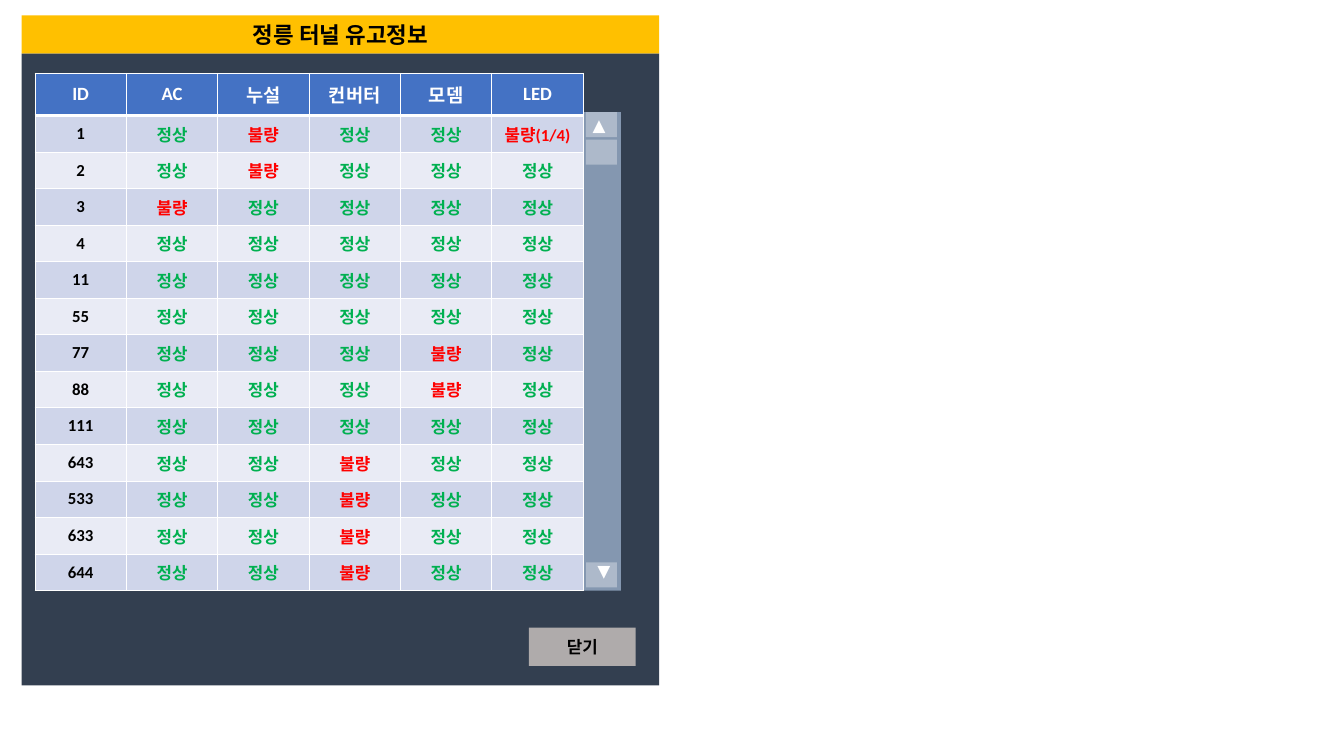
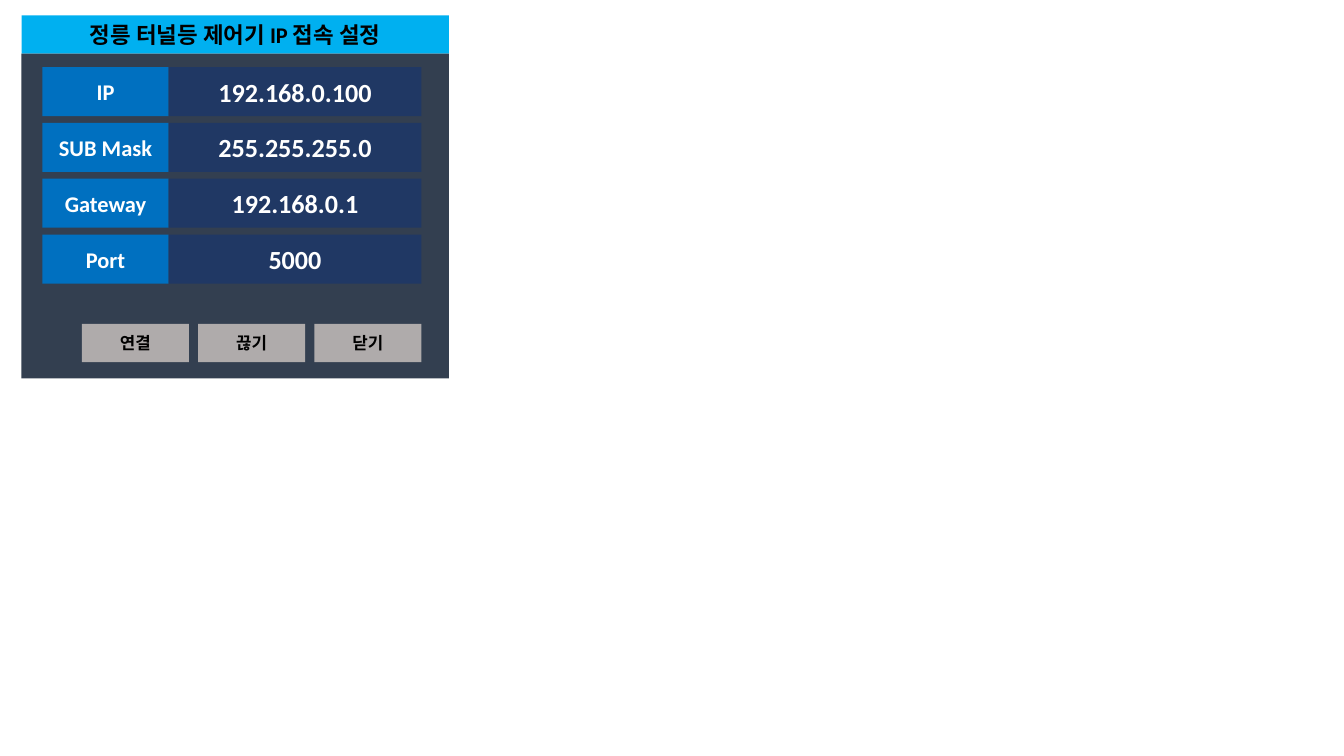
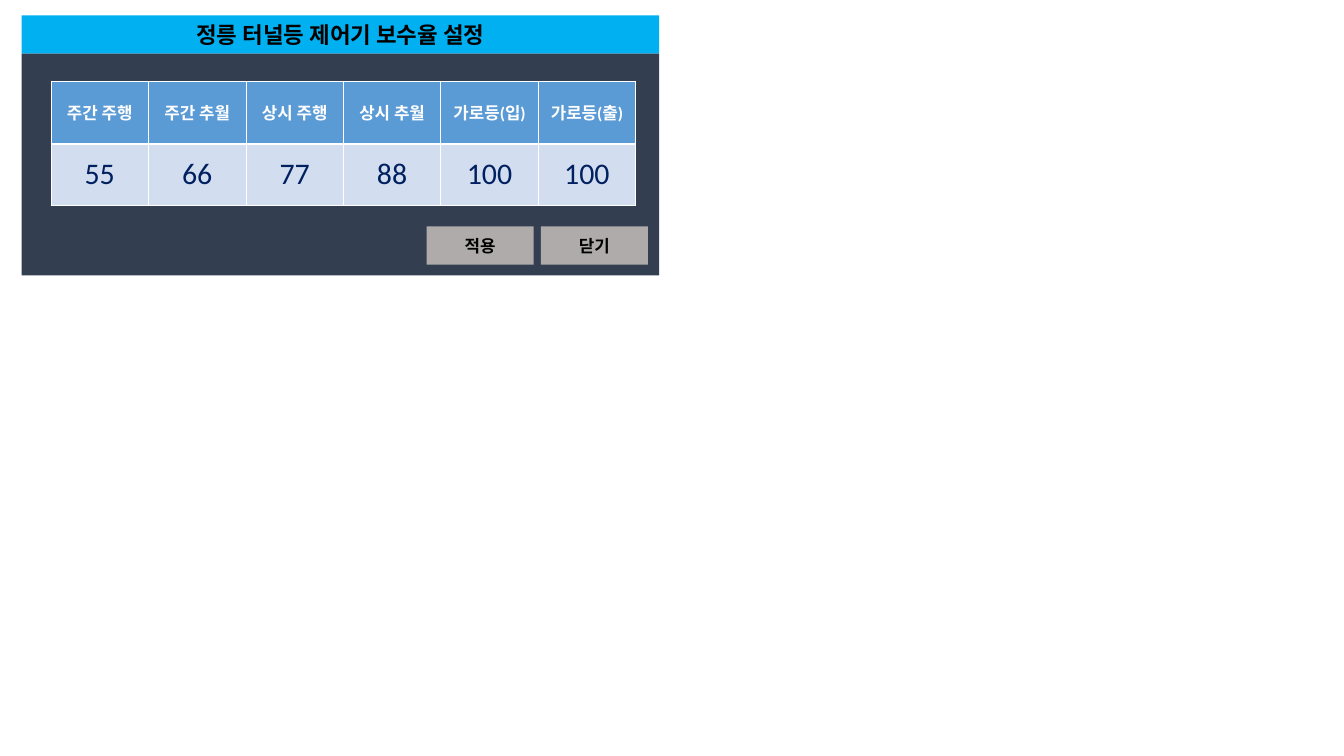
from pptx import Presentation
from pptx.dml.color import RGBColor
from pptx.enum.shapes import MSO_SHAPE
from pptx.enum.text import MSO_ANCHOR, MSO_AUTO_SIZE, PP_ALIGN
from pptx.oxml import parse_xml
from pptx.oxml.ns import nsdecls
from pptx.util import Inches, Pt

RECT = MSO_SHAPE.RECTANGLE
LEFT, CENTER = PP_ALIGN.LEFT, PP_ALIGN.CENTER
MIDDLE = MSO_ANCHOR.MIDDLE
TITLE_ONLY = 5


class Theme:
    font = "Calibri"
    black, white = "000000", "FFFFFF"
    panel, button = "333F50", "AFABAB"
    alert_bar, setting_bar = "FFC000", "00B0F0"
    track, thumb = "8497B0", "ADB9CA"
    label, value = "0070C0", "203864"
    status_head, status_bands = "4472C4", ("CFD5EA", "E9EBF5")
    rate_head, rate_band, rate_text = "5B9BD5", "D2DEEF", "002060"
    good, bad = "00B050", "FF0000"
    title, head, body, address, rate = 24, 20, 18, 28, 32


# Content
OK, NG = "정상", "불량"
STATUS_HEAD = ["ID", "AC", "누설", "컨버터", "모뎀", "LED"]
STATUS_IDS = [1, 2, 3, 4, 11, 55, 77, 88, 111, 643, 533, 633, 644]
FAULTS = {
    1: {"누설": NG, "LED": "불량(1/4)"},
    2: {"누설": NG},
    3: {"AC": NG},
    77: {"모뎀": NG},
    88: {"모뎀": NG},
    643: {"컨버터": NG},
    533: {"컨버터": NG},
    633: {"컨버터": NG},
    644: {"컨버터": NG},
}
NETWORK = [
    ("IP", "192.168.0.100"),
    ("SUB Mask", "255.255.255.0"),
    ("Gateway", "192.168.0.1"),
    ("Port", "5000"),
]
RATES = [
    ("주간 주행", "55"), ("주간 추월", "66"), ("상시 주행", "77"),
    ("상시 추월", "88"), ("가로등(입)", "100"), ("가로등(출)", "100"),
]

# Shared geometry, in inches
PANEL_X, BAR_Y, BAR_H = 0.32, 0.23, 0.57
BUTTON_W, BUTTON_H = 1.59, 0.57


def write(tf, text, size, color, bold=True, align=CENTER):
    p = tf.paragraphs[0]
    p.alignment = align
    r = p.add_run()
    r.text = text
    style = {"name": Theme.font, "size": Pt(size), "bold": bold}
    for key, val in style.items():
        setattr(r.font, key, val)
    r.font.color.rgb = RGBColor.from_string(color)


def paint(obj, color):
    obj.fill.solid()
    obj.fill.fore_color.rgb = RGBColor.from_string(color)


def add_box(slide, x, y, w, h, fill, text="", size=Theme.body,
            color=Theme.white, align=CENTER, inset=True):
    sp = slide.shapes.add_shape(RECT, Inches(x), Inches(y), Inches(w), Inches(h))
    sp.shadow.inherit = False
    sp.line.fill.background()
    paint(sp, fill)
    tf = sp.text_frame
    tf.vertical_anchor = MIDDLE
    if not inset:
        for side in ("left", "top", "right", "bottom"):
            setattr(tf, f"margin_{side}", 0)
    if text:
        write(tf, text, size, color, align=align)
    return sp


def add_dialog(prs, title, bar, w, h):
    """Start a slide with a title bar above a dark panel."""
    slide = prs.slides.add_slide(prs.slide_layouts[TITLE_ONLY])
    sp = slide.shapes.title
    place = {"left": PANEL_X, "top": BAR_Y, "width": w, "height": BAR_H}
    for key, val in place.items():
        setattr(sp, key, Inches(val))
    paint(sp, bar)
    tf = sp.text_frame
    tf.auto_size = MSO_AUTO_SIZE.NONE
    tf.word_wrap = True
    tf.vertical_anchor = MIDDLE
    write(tf, title, Theme.title, Theme.black)
    add_box(slide, PANEL_X, BAR_Y + BAR_H, w, h, Theme.panel)
    return slide


def add_buttons(slide, labels, right, y, gap=0.0):
    """Lay buttons out leftwards from the right edge."""
    for i, label in enumerate(reversed(labels)):
        x = right - BUTTON_W - i * (BUTTON_W + gap)
        add_box(slide, x, y, BUTTON_W, BUTTON_H, Theme.button, label,
                color=Theme.black)


def add_borders(cell, bottom):
    tcPr = cell._tc.get_or_add_tcPr()
    widths = {"lnL": 1, "lnR": 1, "lnT": 1, "lnB": bottom}
    for i, (tag, width) in enumerate(widths.items()):
        tcPr.insert(i, parse_xml(
            f'<a:{tag} {nsdecls("a")} w="{Pt(width)}"><a:solidFill>'
            f'<a:srgbClr val="{Theme.white}"/></a:solidFill></a:{tag}>'))


def add_grid(slide, x, y, w, h, head_h, rows, cell_style):
    """Add a table; cell_style(row, col, text) gives fill, size, colour, bold."""
    n_rows, n_cols = len(rows), len(rows[0])
    tbl = slide.shapes.add_table(n_rows, n_cols, Inches(x), Inches(y),
                                 Inches(w), Inches(h)).table
    for col in tbl.columns:
        col.width = Inches(w / n_cols)
    for i, row in enumerate(rows):
        tbl.rows[i].height = Inches((h - head_h) / (n_rows - 1) if i else head_h)
        for j, text in enumerate(row):
            cell = tbl.cell(i, j)
            fill, size, color, bold = cell_style(i, j, text)
            paint(cell, fill)
            cell.vertical_anchor = MIDDLE
            write(cell.text_frame, text, size, color, bold)
            add_borders(cell, bottom=1 if i else 3)


def status_style(i, j, text):
    if i == 0:
        return Theme.status_head, Theme.head, Theme.white, True
    if j == 0:
        color = Theme.black
    else:
        color = Theme.good if text == OK else Theme.bad
    return Theme.status_bands[(i - 1) % 2], Theme.body, color, True


def rate_style(i, j, text):
    if i == 0:
        return Theme.rate_head, Theme.body, Theme.white, True
    return Theme.rate_band, Theme.rate, Theme.rate_text, False


def build_status(prs):
    slide = add_dialog(prs, "정릉 터널 유고정보", Theme.alert_bar, 9.49, 9.4)
    add_buttons(slide, ["닫기"], right=9.46, y=9.34)
    add_box(slide, 8.68, 1.67, 0.56, 7.12, Theme.track)
    rows = [STATUS_HEAD]
    for uid in STATUS_IDS:
        faults = FAULTS.get(uid, {})
        rows.append([str(uid)] + [faults.get(k, OK) for k in STATUS_HEAD[1:]])
    add_grid(slide, 0.52, 1.09, 8.16, 7.7, 0.63, rows, status_style)
    # Scroll bar arrows and thumb
    for y, text, turn in [(1.67, "▲", 0), (8.37, "▲", 180), (2.08, "", 0)]:
        sp = add_box(slide, 8.72, y, 0.46, 0.37, Theme.thumb, text, align=LEFT)
        sp.rotation = turn


def build_network(prs):
    slide = add_dialog(prs, "정릉 터널등 제어기 IP 접속 설정",
                       Theme.setting_bar, 6.36, 4.83)
    x, top, label_w, value_w, h, step = 0.63, 1.0, 1.88, 3.76, 0.73, 0.83
    for i, (label, value) in enumerate(NETWORK):
        y = top + i * step
        add_box(slide, x, y, label_w, h, Theme.label, label, Theme.title,
                inset=False)
        add_box(slide, x + label_w, y, value_w, h, Theme.value, value,
                Theme.address, inset=False)
    add_buttons(slide, ["연결", "끊기", "닫기"], right=6.27, y=4.82, gap=0.14)


def build_rates(prs):
    slide = add_dialog(prs, "정릉 터널등 제어기 보수율 설정",
                       Theme.setting_bar, 9.49, 3.3)
    add_buttons(slide, ["적용", "닫기"], right=9.64, y=3.37, gap=0.11)
    add_grid(slide, 0.76, 1.21, 8.7, 1.85, 0.93, list(zip(*RATES)), rate_style)


def main():
    prs = Presentation()
    prs.slide_width, prs.slide_height = Inches(20), Inches(11.25)
    for build in (build_status, build_network, build_rates):
        build(prs)
    prs.save("out.pptx")


if __name__ == "__main__":
    main()
